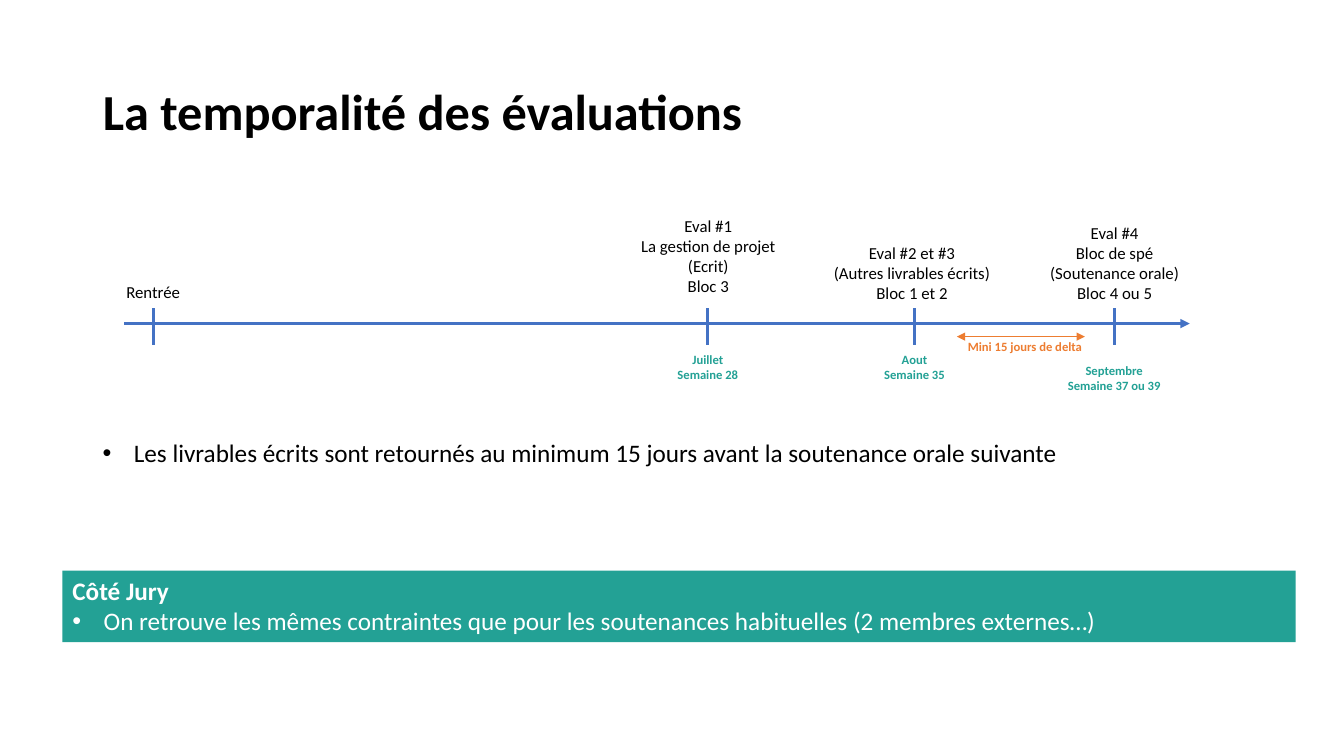
from lxml import etree
from pptx import Presentation
from pptx.dml.color import RGBColor
from pptx.enum.shapes import MSO_CONNECTOR as CONN, MSO_SHAPE as SHAPE
from pptx.enum.text import MSO_ANCHOR as ANCHOR, MSO_AUTO_SIZE as AUTO, PP_ALIGN as ALIGN
from pptx.oxml.ns import qn
from pptx.util import Inches, Pt

BLACK = RGBColor(0x00, 0x00, 0x00)
WHITE = RGBColor(0xFF, 0xFF, 0xFF)
BLUE = RGBColor(0x44, 0x72, 0xC4)
TEAL = RGBColor(0x23, 0xA1, 0x95)
ORANGE = RGBColor(0xED, 0x7D, 0x31)

AXIS_Y = 3.21
TICKS = (1.52, 7.02, 9.07, 11.05)
EVENTS = (
    (1.01, 2.75, 1.02, 0.3, ["Rentrée"]),
    (5.57, 2.09, 2.91, 0.91, ["Eval #1", "La gestion de projet", "(Ecrit)", "Bloc 3"]),
    (7.85, 2.36, 2.39, 0.71, ["Eval #2 et #3", "(Autres livrables écrits)", "Bloc 1 et 2"]),
    (9.86, 2.16, 2.39, 0.91, ["Eval #4", "Bloc de spé", "(Soutenance orale)", "Bloc 4 ou 5"]),
)
DATES = (
    (6.46, 3.44, ["Juillet\vSemaine 28"]),
    (8.51, 3.44, ["Aout", "Semaine 35"]),
    (10.49, 3.55, ["Septembre", "Semaine 37 ou 39"]),
)


def write(tf, lines, size=12, color=BLACK, bold=False, align=ALIGN.LEFT, bullets=(), bold_lines=()):
    tf.word_wrap = True
    tf.auto_size = AUTO.NONE
    tf.vertical_anchor = ANCHOR.TOP
    for i, line in enumerate(lines):
        p = tf.paragraphs[0] if i == 0 else tf.add_paragraph()
        p.text = line
        p.alignment = align
        if i in bullets:
            pPr = p._p.get_or_add_pPr()
            pPr.set("marL", str(Inches(0.31)))
            pPr.set("indent", str(-Inches(0.31)))
            etree.SubElement(pPr, qn("a:buFont")).set("typeface", "Arial")
            etree.SubElement(pPr, qn("a:buChar")).set("char", "•")
        for r in p.runs:
            r.font.name = "Calibri"
            r.font.size = Pt(size)
            r.font.bold = bold or i in bold_lines
            r.font.color.rgb = color


class Deck:
    """Hold the presentation style and the current slide."""

    def __init__(self):
        self.prs = Presentation()
        self.prs.slide_width, self.prs.slide_height = Inches(13.33), Inches(7.5)
        self.slide = self.prs.slides.add_slide(self.prs.slide_layouts[5])

    def title(self, x, y, w, h, text):
        sp = self.slide.shapes.title
        sp.left, sp.top, sp.width, sp.height = map(Inches, (x, y, w, h))
        write(sp.text_frame, [text], size=36, bold=True)

    def text(self, x, y, w, h, lines, **style):
        sp = self.slide.shapes.add_textbox(*map(Inches, (x, y, w, h)))
        write(sp.text_frame, lines, **style)

    def panel(self, x, y, w, h, lines, fill, **style):
        sp = self.slide.shapes.add_shape(SHAPE.RECTANGLE, *map(Inches, (x, y, w, h)))
        sp.shadow.inherit = False
        sp.fill.solid()
        sp.fill.fore_color.rgb = fill
        sp.line.fill.background()
        write(sp.text_frame, lines, **style)

    def line(self, x1, y1, x2, y2, color=BLUE, width=2.25, arrows=()):
        cn = self.slide.shapes.add_connector(CONN.STRAIGHT, *map(Inches, (x1, y1, x2, y2)))
        cn.line.color.rgb = color
        cn.line.width = Pt(width)
        for end in arrows:
            etree.SubElement(cn.line._get_or_add_ln(), qn(f"a:{end}")).set("type", "triangle")
        etree.SubElement(cn._element.spPr, qn("a:effectLst"))


def main():
    deck = Deck()
    deck.title(0.92, 0.74, 10.76, 0.71, "La temporalité des évaluations")

    deck.line(1.23, AXIS_Y, 11.8, AXIS_Y, arrows=["tailEnd"])
    for x in TICKS:
        deck.line(x, 3.06, x, 3.42)
    for x, y, w, h, lines in EVENTS:
        deck.text(x, y, w, h, lines, align=ALIGN.CENTER)
    for x, y, lines in DATES:
        deck.text(x, y, 1.12, 0.4, lines, size=9, color=TEAL, bold=True, align=ALIGN.CENTER)

    deck.line(9.49, 3.34, 10.76, 3.34, color=ORANGE, width=0.5, arrows=["headEnd", "tailEnd"])
    deck.text(9.42, 3.31, 1.49, 0.25, ["Mini 15 jours de delta"],
              size=9, color=ORANGE, bold=True, align=ALIGN.CENTER)

    deck.text(0.92, 4.29, 11.93, 0.71,
              ["Les livrables écrits sont retournés au minimum 15 jours avant la soutenance orale suivante"],
              size=18, bullets=[0])
    deck.panel(0.62, 5.66, 12.23, 0.71,
               ["Côté Jury",
                "On retrouve les mêmes contraintes que pour les soutenances habituelles (2 membres externes…)"],
               TEAL, size=18, color=WHITE, bullets=[1], bold_lines=[0])
    deck.prs.save("out.pptx")


if __name__ == "__main__":
    main()
